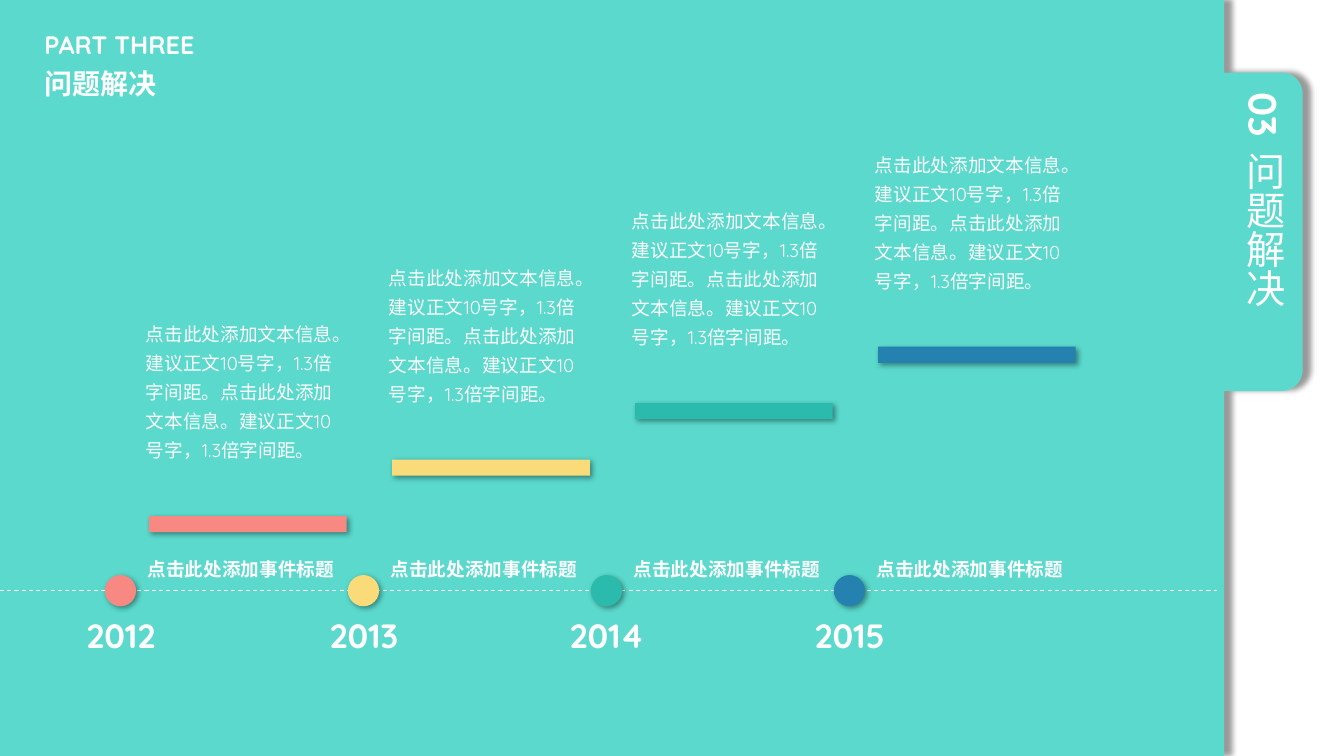
from dataclasses import dataclass
from math import cos, pi, sin

from lxml import etree
from pptx import Presentation
from pptx.dml.color import RGBColor
from pptx.enum.dml import MSO_LINE
from pptx.enum.shapes import MSO_CONNECTOR, MSO_SHAPE
from pptx.enum.text import MSO_ANCHOR, MSO_AUTO_SIZE, PP_ALIGN
from pptx.oxml.ns import qn
from pptx.util import Inches, Pt

DASH = MSO_LINE.DASH
STRAIGHT = MSO_CONNECTOR.STRAIGHT
RECT, OVAL = MSO_SHAPE.RECTANGLE, MSO_SHAPE.OVAL
TOP, MIDDLE = MSO_ANCHOR.TOP, MSO_ANCHOR.MIDDLE
NONE, GROW = MSO_AUTO_SIZE.NONE, MSO_AUTO_SIZE.SHAPE_TO_FIT_TEXT
LEFT, CENTER = PP_ALIGN.LEFT, PP_ALIGN.CENTER


@dataclass(frozen=True)
class Theme:
    font: str = "Quicksand"
    white: str = "FFFFFF"
    page: str = "5AD9CC"
    shade: str = "000000"
    steps: tuple = ("F78982", "F9DB7A", "2BBBAC", "2581AF")
    tab: float = 28
    year: float = 24
    head: float = 20
    lead: float = 18
    body: float = 13.3


THEME = Theme()
WIDTH, HEIGHT = 13.33, 7.5
COL, RISE = 2.41, 0.56
START = 1.04
AXIS = 5.86
DOT = 0.31
YEARS = ("2012", "2013", "2014", "2015")
LABEL = "点击此处添加事件标题"
BODY = "点击此处添加文本信息。建议正文10号字，1.3倍字间距。" * 2
HEAD = "问题解决"


def color(code):
    return RGBColor.from_string(code)


def write(shape, text, size, bold=False, align=LEFT, ratio=1.0, before=0,
          wrap=True, fit=NONE, anchor=TOP, upright=False):
    frame = shape.text_frame
    frame.word_wrap = wrap
    frame.auto_size = fit
    frame.vertical_anchor = anchor
    if upright:
        shape.element.txBody.find(qn("a:bodyPr")).set("vert", "eaVert")
    para = frame.paragraphs[0]
    para.alignment = align
    para.line_spacing = ratio
    para.space_before = Pt(before)
    run = para.add_run()
    run.text = text
    font = run.font
    font.name, font.size, font.bold = THEME.font, Pt(size), bold
    font.color.rgb = color(THEME.white)
    east = etree.SubElement(font._element, qn("a:ea"))
    east.set("typeface", THEME.font)


def place(holder, box, text, size, **style):
    holder.left, holder.top, holder.width, holder.height = map(Inches, box)
    write(holder, text, size, ratio=0.9, before=10, **style)
    props = holder.text_frame.paragraphs[0]._p.get_or_add_pPr()
    props.set("marL", "0")
    props.set("indent", "0")
    etree.SubElement(props, qn("a:buNone"))


def label(slide, box, text, size, **style):
    shape = slide.shapes.add_textbox(*map(Inches, box))
    write(shape, text, size, fit=GROW, **style)


def paint(shape, fill, far=2, angle=45):
    shape.fill.solid()
    shape.fill.fore_color.rgb = color(fill)
    shape.line.fill.background()
    shape.shadow.inherit = False
    effects = shape.element.spPr.find(qn("a:effectLst"))
    shadow = etree.SubElement(
        effects, qn("a:outerShdw"), blurRad=str(Pt(4)), dist=str(Pt(far)),
        dir=str(angle * 60000), algn="tl", rotWithShape="0")
    tint = etree.SubElement(shadow, qn("a:srgbClr"), val=THEME.shade)
    etree.SubElement(tint, qn("a:alpha"), val="40000")


def block(slide, kind, box, fill):
    paint(slide.shapes.add_shape(kind, *map(Inches, box)), fill)


def arc(x, y, radius, first):
    turns = [first + pi / 2 * step / 12 for step in range(13)]
    return [(x + radius * cos(turn), y + radius * sin(turn)) for turn in turns]


def panel(slide):
    edge, right, top, low, curve = 12.14, 12.92, 0.72, 3.88, 0.21
    points = [(edge, 0), (edge, top),
              *arc(right - curve, top + curve, curve, -pi / 2),
              *arc(right - curve, low - curve, curve, 0),
              (edge, low), (edge, HEIGHT), (0, HEIGHT)]
    pen = slide.shapes.build_freeform(0, 0, scale=1.0)
    pen.add_line_segments([(Inches(x), Inches(y)) for x, y in points])
    shape = pen.convert_to_shape()
    paint(shape, THEME.page, far=6, angle=0)
    shape.element.getparent().insert(2, shape.element)


def axis(slide):
    y = Inches(AXIS)
    line = slide.shapes.add_connector(STRAIGHT, 0, y, Inches(12.07), y)
    line.line.color.rgb = color(THEME.white)
    line.line.width = Pt(0.75)
    line.line.dash_style = DASH
    etree.SubElement(line.element.spPr, qn("a:effectLst"))


def titles(slide):
    head, lead, name, number, spare = slide.placeholders
    place(name, (12.16, 1.46, 0.66, 2.38), HEAD, THEME.tab, upright=True)
    place(number, (12.16, 0.87, 0.66, 0.59), "03", THEME.tab, bold=True,
          upright=True)
    place(lead, (0.34, 0.26, 4.31, 0.39), "PART THREE", THEME.lead,
          bold=True, anchor=MIDDLE)
    place(head, (0.34, 0.65, 4.31, 0.39), HEAD, THEME.head, bold=True,
          anchor=MIDDLE)
    spare.element.getparent().remove(spare.element)


def step(slide, index, year, fill):
    x = START + COL * index
    bar = 5.12 - RISE * index
    block(slide, OVAL, (x, AXIS - DOT / 2, DOT, DOT), fill)
    label(slide, (x - 0.32, 6.05, 0.96, 0.5), year, THEME.year, bold=True,
          align=CENTER, wrap=False)
    label(slide, (x + 0.31, 5.46, 2.08, 0.33), LABEL, THEME.body, bold=True,
          align=CENTER, ratio=1.1, wrap=False)
    block(slide, RECT, (x + 0.44, bar, 1.96, 0.16), fill)
    label(slide, (x + 0.31, bar - 2.03, 2.1, 1.56), BODY, THEME.body,
          ratio=1.3)


def main():
    """Build the rising four-year timeline slide."""
    deck = Presentation()
    deck.slide_width, deck.slide_height = Inches(WIDTH), Inches(HEIGHT)
    slide = deck.slides.add_slide(deck.slide_layouts[4])
    panel(slide)
    titles(slide)
    axis(slide)
    for index, (year, fill) in enumerate(zip(YEARS, THEME.steps)):
        step(slide, index, year, fill)
    deck.save("out.pptx")


if __name__ == "__main__":
    main()
